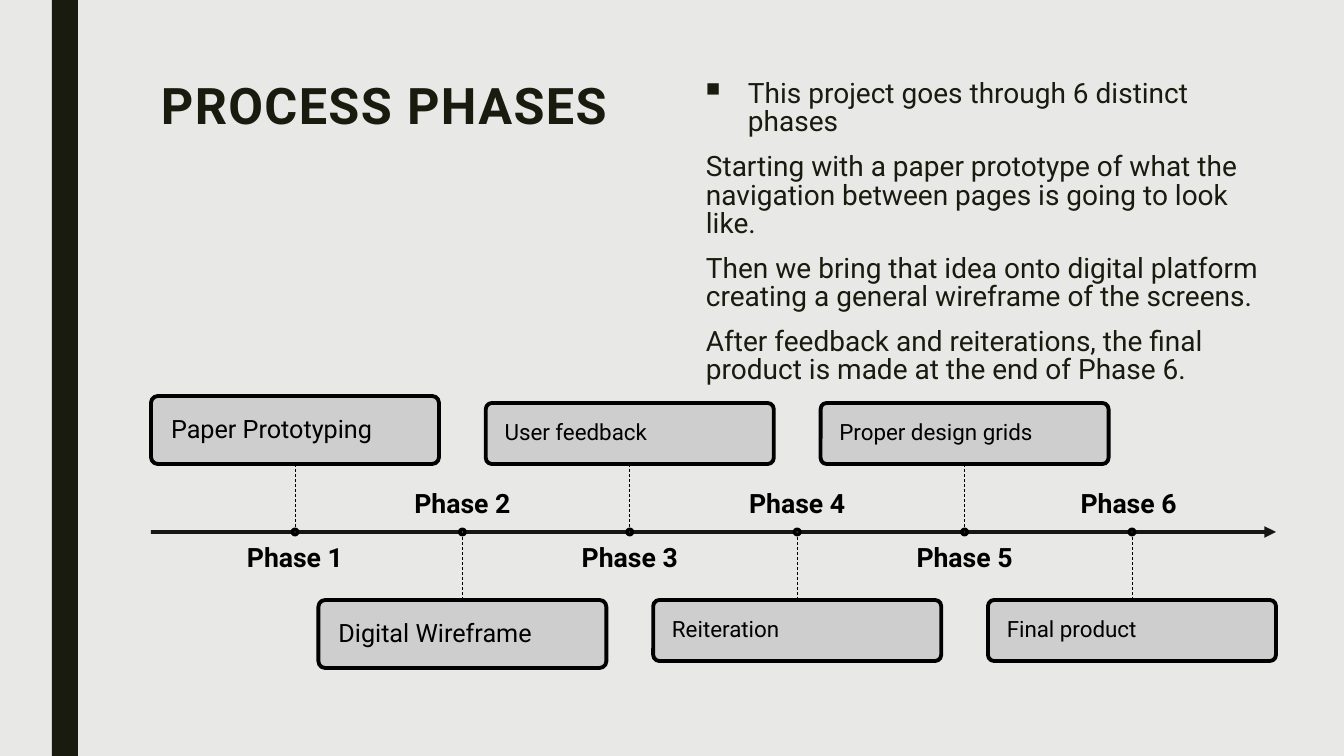
from dataclasses import dataclass
from lxml import etree
from pptx import Presentation
from pptx import util as u
from pptx.dml.color import RGBColor
from pptx.enum import dml, shapes, text
from pptx.oxml.ns import qn

TITLE = "PROCESS PHASES"
BODY = [
    "This project goes through 6 distinct phases",
    "Starting with a paper prototype of what the navigation between pages is going to look like.",
    "Then we bring that idea onto digital platform creating a general wireframe of the screens.",
    "After feedback and reiterations, the final product is made at the end of Phase 6.",
]
# label, step, height of box, type size, inset
PHASES = [
    ("Phase 1", "Paper Prototyping", 68, 18, 18),
    ("Phase 2", "Digital Wireframe", 68, 18, 18),
    ("Phase 3", "User feedback", 61, 16, 17),
    ("Phase 4", "Reiteration", 61, 16, 17),
    ("Phase 5", "Proper design grids", 61, 16, 17),
    ("Phase 6 ", "Final product", 61, 16, 17),
]


@dataclass(frozen=True)
class Theme:
    font: str = "Roboto"
    back: str = "E8E8E7"
    ink: str = "191B0E"
    line: str = "000000"
    box: str = "CCCCCC"
    dot: str = "FFFFFF"
    title: int = 36
    body: int = 20
    label: int = 19
    thick: float = 2.75
    thin: float = 0.5


T = Theme()
WIDE, HIGH = 1344, 756
LEFT, RIGHT, AXIS = 151, 1276, 532
FIRST, LAST = 295, 1132
BOX_W, LABEL_W, LABEL_H, DOT = 288, 254, 40, 5
ABOVE, BELOW = 464, 600  # box edges that face the axis


def px(n):
    return u.Emu(round(n * 914400 / 100.8))


def rgb(code):
    return RGBColor.from_string(code)


def fade(fill, part):
    """Make a solid fill partly transparent; part is the opacity in percent."""
    color = fill._xPr.find(qn("a:solidFill"))[0]
    etree.SubElement(color, qn("a:alpha"), val=str(part * 1000))


def write(frame, words, size, color, bold=False, space=0.9, inset=(0, 0),
          align=text.PP_ALIGN.LEFT, anchor=text.MSO_ANCHOR.TOP):
    frame.word_wrap = True
    frame.vertical_anchor = anchor
    frame.margin_left = frame.margin_right = px(inset[0])
    frame.margin_top = frame.margin_bottom = px(inset[1])
    for i, line in enumerate(words):
        para = frame.add_paragraph() if i else frame.paragraphs[0]
        para.alignment, para.line_spacing = align, space
        if len(words) > 1:
            para.space_before, para.space_after = u.Pt(10 if i else 0), u.Pt(2)
        run = para.add_run()
        run.text = line
        font = run.font
        font.name, font.size, font.bold = T.font, u.Pt(size), bold
        font.color.rgb = rgb(color)


def note(slide, x, y, w, h, words, size, color, **look):
    box = slide.shapes.add_textbox(px(x), px(y), px(w), px(h))
    write(box.text_frame, words, size, color, **look)
    return box.text_frame


def shape(slide, kind, x, y, w, h, fill, edge=None):
    item = slide.shapes.add_shape(kind, px(x), px(y), px(w), px(h))
    item.shadow.inherit = False
    item.fill.solid()
    item.fill.fore_color.rgb = rgb(fill)
    if edge:
        item.line.color.rgb = rgb(edge)
        item.line.width = u.Pt(T.thick)
    else:
        item.line.fill.background()
    return item


def rule(slide, x1, y1, x2, y2, width):
    item = slide.shapes.add_connector(
        shapes.MSO_CONNECTOR.STRAIGHT, px(x1), px(y1), px(x2), px(y2))
    item.line.color.rgb = rgb(T.line)
    item.line.width = u.Pt(width)
    etree.SubElement(item._element.spPr, qn("a:effectLst"))
    return item


def bullet(para):
    props = para._p.get_or_add_pPr()
    props.set("marL", str(px(42)))
    props.set("indent", str(-px(42)))
    etree.SubElement(props, qn("a:buSzPct"), val="70000")
    etree.SubElement(props, qn("a:buChar"), char="■")


def phase(slide, mid, upper, label, step, high, size, inset):
    top = ABOVE - high if upper else BELOW
    box = shape(slide, shapes.MSO_SHAPE.ROUNDED_RECTANGLE,
                mid - BOX_W / 2, top, BOX_W, high, T.box, T.line)
    box.adjustments[0] = 0.1
    fade(box.fill, 90)
    write(box.text_frame, [step], size, T.line, inset=(inset, 0),
          anchor=text.MSO_ANCHOR.MIDDLE)
    stem = rule(slide, mid, ABOVE if upper else BELOW, mid, AXIS, T.thin)
    stem.line.dash_style = dml.MSO_LINE.DASH
    stem.begin_connect(box, 2 if upper else 0)
    note(slide, mid - LABEL_W / 2, AXIS + 13 if upper else AXIS - 13 - LABEL_H,
         LABEL_W, LABEL_H, [label], T.label, T.line, bold=True,
         align=text.PP_ALIGN.CENTER,
         anchor=text.MSO_ANCHOR.TOP if upper else text.MSO_ANCHOR.BOTTOM)
    shape(slide, shapes.MSO_SHAPE.OVAL, mid - DOT / 2, AXIS - DOT / 2,
          DOT, DOT, T.dot, T.line)


def main():
    deck = Presentation()
    deck.slide_width, deck.slide_height = px(WIDE), px(HIGH)
    slide = deck.slides.add_slide(deck.slide_layouts[6])
    slide.background.fill.solid()
    slide.background.fill.fore_color.rgb = rgb(T.back)

    shape(slide, shapes.MSO_SHAPE.RECTANGLE, 52, 0, 26, HIGH, T.ink)
    title = note(slide, LEFT, 76, 514, 262, [TITLE], T.title, T.ink,
                 bold=True, space=0.89, inset=(10, 5))
    title.paragraphs[0].runs[0].font._element.set("spc", "100")
    body = note(slide, 696, 76, 574, 262, BODY, T.body, T.ink,
                space=0.84, inset=(10, 5))
    bullet(body.paragraphs[0])

    axis = rule(slide, LEFT, AXIS, RIGHT, AXIS, T.thick)
    fade(axis.line.fill, 90)
    etree.SubElement(axis.line._ln, qn("a:tailEnd"), type="triangle")
    gap = (LAST - FIRST) / (len(PHASES) - 1)
    for i, data in enumerate(PHASES):
        phase(slide, FIRST + i * gap, i % 2 == 0, *data)
    deck.save("out.pptx")


if __name__ == "__main__":
    main()
